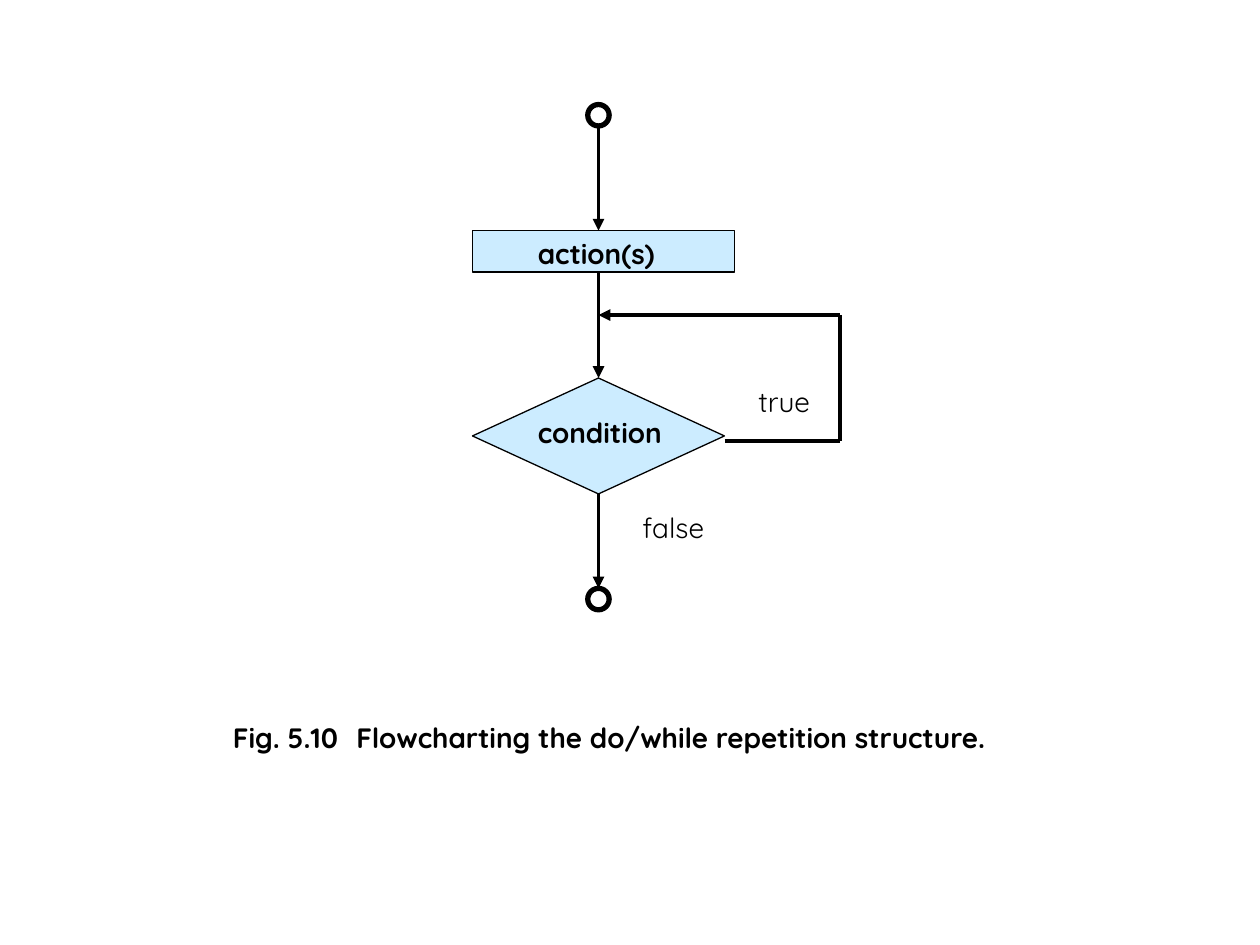
import pptx
import pptx.util
import pptx.dml.color
import pptx.enum.shapes
import pptx.enum.text
import pptx.oxml
import pptx.oxml.ns
from pptx.util import Inches

SHAPES = pptx.enum.shapes.MSO_SHAPE
BLACK, WHITE, PALE_BLUE = "000000", "FFFFFF", "CCECFF"
FONT, TEXT_SIZE = "Quicksand", 16
AXIS = 4.75      # centre line of the main flow
LOOP_X = 6.67    # right side of the loop back
DOT = 0.17       # diameter of the start and end circles

# Content: kind, left, top, width, height, fill, line width
NODES = [
    (SHAPES.OVAL, AXIS - DOT / 2, 0.83, DOT, DOT, WHITE, 3),
    (SHAPES.RECTANGLE, 3.75, 1.83, 2.08, 0.33, PALE_BLUE, 0.75),
    (SHAPES.DIAMOND, 3.75, 3, 2, 0.92, PALE_BLUE, 0.75),
    (SHAPES.OVAL, AXIS - DOT / 2, 4.67, DOT, DOT, WHITE, 3),
]
# Start, end, arrowhead at the end
FLOWS = [
    ((AXIS, 1), (AXIS, 1.83), True),
    ((AXIS, 2.17), (AXIS, 3), True),
    ((AXIS, 3.92), (AXIS, 4.67), True),
    ((5.75, 3.5), (LOOP_X, 3.5), False),
    ((LOOP_X, 3.5), (LOOP_X, 2.5), False),
    ((LOOP_X, 2.5), (AXIS, 2.5), True),
]
# Text, left, top, width, bold, wrap
LABELS = [
    ("action(s)", 4.17, 1.83, 1.17, True, True),
    ("condition", 4.17, 3.25, 1.21, True, False),
    ("true", 5.92, 3, 0.62, False, False),
    ("false", 5, 4, 0.69, False, False),
    ("Fig. 5.10\tFlowcharting the do/while repetition structure.",
     1.75, 5.67, 6.17, True, True),
]
CAPTION_TAB = 0.98


def paint(color_format, color):
    color_format.rgb = pptx.dml.color.RGBColor.from_string(color)


def add_xml(parent, tag, **attributes):
    element = pptx.oxml.parse_xml(f"<a:{tag} {pptx.oxml.ns.nsdecls('a')}/>")
    for name, value in attributes.items():
        element.set(name, str(value))
    parent.append(element)
    return element


def add_node(slide, kind, left, top, width, height, fill, line_width):
    shape = slide.shapes.add_shape(
        kind, Inches(left), Inches(top), Inches(width), Inches(height))
    shape.shadow.inherit = False
    shape.fill.solid()
    paint(shape.fill.fore_color, fill)
    paint(shape.line.color, BLACK)
    shape.line.width = pptx.util.Pt(line_width)


def add_flow(slide, start, end, arrow):
    connector = slide.shapes.add_connector(
        pptx.enum.shapes.MSO_CONNECTOR.STRAIGHT,
        *[Inches(value) for value in start + end])
    paint(connector.line.color, BLACK)
    connector.line.width = pptx.util.Pt(2.25)
    properties = connector.element.spPr
    if arrow:
        line = properties.find(pptx.oxml.ns.qn("a:ln"))
        add_xml(line, "tailEnd", type="triangle")
    add_xml(properties, "effectLst")


def add_label(slide, text, left, top, width, bold, wrap):
    box = slide.shapes.add_textbox(
        Inches(left), Inches(top), Inches(width), Inches(0.37))
    frame = box.text_frame
    frame.word_wrap = wrap
    frame.auto_size = pptx.enum.text.MSO_AUTO_SIZE.SHAPE_TO_FIT_TEXT
    frame.text = text
    paragraph = frame.paragraphs[0]
    if "\t" in text:
        tabs = add_xml(paragraph._p.get_or_add_pPr(), "tabLst")
        add_xml(tabs, "tab", pos=int(Inches(CAPTION_TAB)), algn="l")
    paragraph.font.name = FONT
    paragraph.font.size = pptx.util.Pt(TEXT_SIZE)
    paragraph.font.bold = bold
    paint(paragraph.font.color, BLACK)


def main():
    presentation = pptx.Presentation()
    presentation.slide_width = Inches(10)
    presentation.slide_height = Inches(7.5)
    slide = presentation.slides.add_slide(presentation.slide_layouts[6])

    # Flowchart, then its labels and the caption
    for node in NODES:
        add_node(slide, *node)
    for flow in FLOWS:
        add_flow(slide, *flow)
    for label in LABELS:
        add_label(slide, *label)

    presentation.save("out.pptx")


if __name__ == "__main__":
    main()
